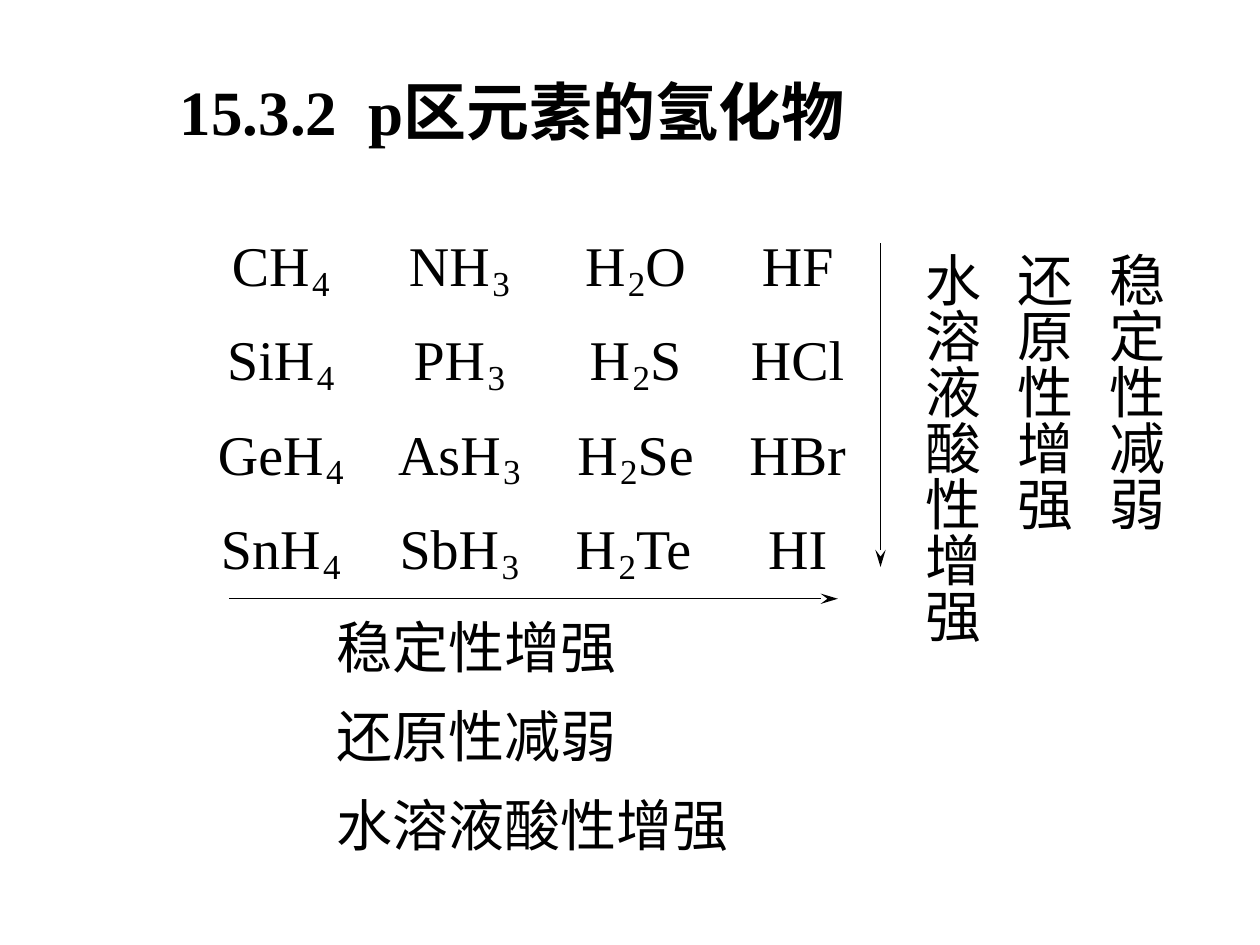
from itertools import groupby

from lxml import etree
from pptx import Presentation, util as u
from pptx.dml.color import RGBColor
from pptx.enum import shapes, text
from pptx.oxml import ns

COLORS = {"ink": "000000", "paper": "FFFFFF"}
GLYPH_EM = dict(C=.667, H=.722, N=.722, O=.722, F=.556, S=.556, P=.556, G=.722,
                A=.722, B=.667, T=.611, I=.333, i=.278, l=.278, e=.444, s=.389,
                r=.333, n=.5, b=.5)
MAIN = {"size": u.Pt(32), "name": "Times New Roman"}
SUB = {"size": u.Pt(20), "name": "Times New Roman"}
LABEL = {"size": u.Pt(32), "name": "Arial Narrow"}
TITLE = {"size": u.Pt(36), "name": "Times New Roman", "bold": True}

HYDRIDES = [
    ["CH4", "NH3", "H2O", "HF"],
    ["SiH4", "PH3", "H2S", "HCl"],
    ["GeH4", "AsH3", "H2Se", "HBr"],
    ["SnH4", "SbH3", "H2Te", "HI"],
]
COLUMN_CENTERS = [5.7, 9.3, 12.85, 16.12]
FIRST_ROW, ROW_STEP = 4.65, 1.9
SUB_GAP, SUB_DROP, SLACK = 0.05, 0.62, 0.08


class HydrideSlide:
    def __init__(self, prs):
        self.s = prs.slides.add_slide(prs.slide_layouts[5])
        fill = self.s.background.fill
        fill.solid()
        fill.fore_color.rgb = RGBColor.from_string(COLORS["paper"])

    def format(self, font, style):
        for key, value in style.items():
            setattr(font, key, value)
        font.color.rgb = RGBColor.from_string(COLORS["ink"])

    def title(self, number, heading, box, tab):
        sp = self.s.shapes.title
        sp.left, sp.top, sp.width, sp.height = map(u.Cm, box)
        tf = sp.text_frame
        tf.vertical_anchor = text.MSO_ANCHOR.MIDDLE
        p = tf.paragraphs[0]
        p.alignment = text.PP_ALIGN.LEFT
        tabs = etree.SubElement(p._p.get_or_add_pPr(), ns.qn("a:tabLst"))
        etree.SubElement(tabs, ns.qn("a:tab"), pos=str(u.Cm(tab)), algn="l")
        r = p.add_run()
        r.text = f"{number}\t{heading}"
        self.format(r.font, TITLE)

    def text(self, lines, box, style, insets=(0, 0), wrap=False, spacing=None, vert=None):
        sp = self.s.shapes.add_textbox(*map(u.Cm, box))
        tf = sp.text_frame
        tf.word_wrap = wrap
        tf.auto_size = text.MSO_AUTO_SIZE.SHAPE_TO_FIT_TEXT
        tf.margin_left = tf.margin_right = u.Cm(insets[0])
        tf.margin_top = tf.margin_bottom = u.Cm(insets[1])
        if vert:
            tf._txBody.bodyPr.set("vert", vert)
        for i, line in enumerate(lines):
            p = tf.add_paragraph() if i else tf.paragraphs[0]
            p.alignment = text.PP_ALIGN.LEFT
            if spacing:
                p.line_spacing = spacing
            if i:
                p.space_before = u.Pt(20)
            r = p.add_run()
            r.text = line
            self.format(r.font, style)

    def formula(self, formula, center, top):
        parts = []
        width = 0
        for is_sub, chars in groupby(formula, str.isdigit):
            part = "".join(chars)
            if is_sub:
                width += SUB_GAP
                w = SUB["size"].cm * 0.5 * len(part)
            else:
                w = MAIN["size"].cm * sum(GLYPH_EM[c] for c in part)
            parts.append((part, is_sub, width, w))
            width += w
        left = center - width / 2
        for part, is_sub, x, w in parts:
            y, h, style = (top + SUB_DROP, 0.84, SUB) if is_sub else (top, 1.35, MAIN)
            self.text([part], (left + x - SLACK / 2, y, w + SLACK, h), style)

    def arrow(self, *ends):
        sp = self.s.shapes.add_connector(shapes.MSO_CONNECTOR.STRAIGHT, *map(u.Cm, ends))
        sp.line.width = u.Pt(0.75)
        sp.line.color.rgb = RGBColor.from_string(COLORS["ink"])
        etree.SubElement(sp.line._get_or_add_ln(), ns.qn("a:tailEnd"),
                         type="stealth", w="med", len="lg")
        etree.SubElement(sp._element.spPr, ns.qn("a:effectLst"))


def main():
    prs = Presentation()
    prs.slide_width, prs.slide_height = u.Cm(25.4), u.Cm(19.05)
    slide = HydrideSlide(prs)
    slide.title("15.3.2", "p区元素的氢化物", (3.37, 1.05, 18.62, 2.34), 3.81)
    for i, row in enumerate(HYDRIDES):
        for formula, center in zip(row, COLUMN_CENTERS):
            slide.formula(formula, center, FIRST_ROW + i * ROW_STEP)
    slide.arrow(4.62, 12.07, 16.89, 12.07)
    slide.text(["稳定性增强", "还原性减弱", "水溶液酸性增强"], (6.53, 12.48, 9.32, 4.93),
               LABEL, (0.25, 0.13), wrap=True, spacing=0.8)
    slide.arrow(17.75, 4.9, 17.75, 11.43)
    slide.text(["稳定性减弱", "还原性增强", "水溶液酸性增强"], (18.14, 4.7, 5.36, 8.69),
               LABEL, (0.13, 0.38), wrap=True, spacing=0.85, vert="eaVert")
    prs.save("out.pptx")


if __name__ == "__main__":
    main()
